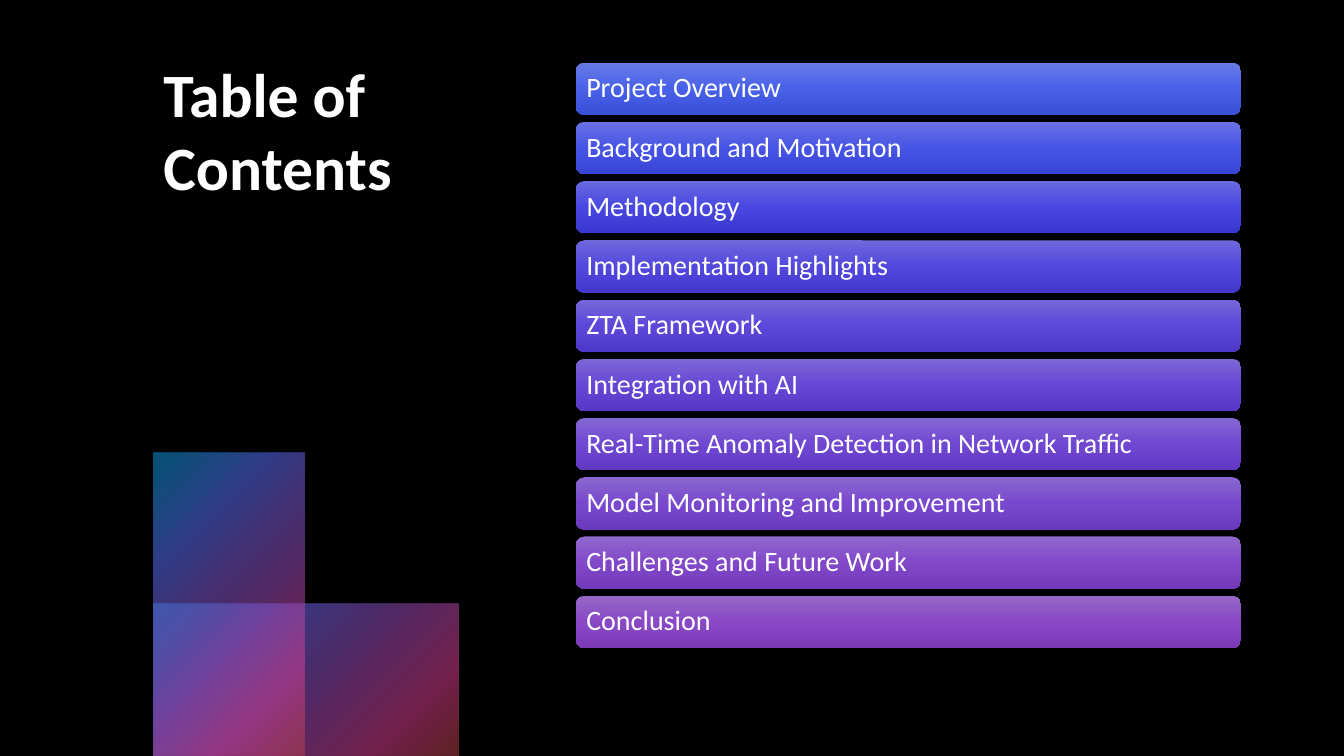
"""Builds a table of contents slide with gradient bars and corner blocks."""
from lxml.etree import SubElement
from pptx import Presentation
from pptx.dml.color import RGBColor
from pptx.enum.shapes import MSO_SHAPE
from pptx.enum.text import MSO_ANCHOR, MSO_AUTO_SIZE, PP_ALIGN
from pptx.oxml.ns import qn
from pptx.util import Inches, Pt

BLOCK_STOPS = [(0, "0BA5E8", 50), (25, "5066E1", 60), (50, "894EC0", 55),
               (81, "E54196", 50), (99, "BE4449", 50)]
BLOCKS = [(1.52, 5.99, 3.03, 1.51), (1.52, 4.49, 1.5, 3.01)]
TOPICS = [
    ("Project Overview", "697AE6", "4961E8", "3850D7"),
    ("Background and Motivation", "6971E3", "4854E5", "3844D4"),
    ("Methodology", "6969E0", "4848E1", "3838D0"),
    ("Implementation Highlights", "6F68DC", "5248DE", "4238CD"),
    ("ZTA Framework", "7668D9", "5D47DA", "4D38C9"),
    ("Integration with AI", "7D68D6", "6747D6", "5738C6"),
    ("Real-Time Anomaly Detection in Network Traffic", "8468D2", "7047D2", "6138C2"),
    ("Model Monitoring and Improvement", "8A68CF", "7948CE", "6A39BE"),
    ("Challenges and Future Work", "9068CB", "8248CA", "7239BA"),
    ("Conclusion", "9668C7", "8948C6", "7A3AB6"),
]
BAR_TOP, LAST_BAR_TOP = 0.62, 5.91
BAR_PITCH = (LAST_BAR_TOP - BAR_TOP) / (len(TOPICS) - 1)


def color(value):
    """Turn a hex string into a colour."""
    return RGBColor.from_string(value)


def apply_format(target, values):
    """Set each attribute named in a dict of format values."""
    for name, value in values.items():
        setattr(target, name, value)


class SlideBuilder:
    """Holds the text style and the current slide."""

    font_name = "Calibri"
    text_color = "FFFFFF"

    def __init__(self, presentation, background):
        """Add a title-only slide with a plain background."""
        self.slide = presentation.slides.add_slide(presentation.slide_layouts[5])
        fill = self.slide.background.fill
        fill.solid()
        fill.fore_color.rgb = color(background)

    def set_text(self, shape, text, size, bold, frame_values, line_spacing):
        """Put one styled paragraph into a shape."""
        frame = shape.text_frame
        frame.text = text
        apply_format(frame, {"word_wrap": True, "auto_size": MSO_AUTO_SIZE.NONE,
                             **frame_values})
        paragraph = frame.paragraphs[0]
        apply_format(paragraph, {"alignment": PP_ALIGN.LEFT, "line_spacing": line_spacing})
        apply_format(paragraph.font, {"name": self.font_name, "size": Pt(size), "bold": bold})
        paragraph.font.color.rgb = color(self.text_color)

    def title(self, text, left, top, width, height):
        """Move and format the title placeholder."""
        title = self.slide.shapes.title
        apply_format(title, {"left": Inches(left), "top": Inches(top),
                             "width": Inches(width), "height": Inches(height)})
        self.set_text(title, text, 44, True, {"vertical_anchor": MSO_ANCHOR.TOP}, 1.0)

    def gradient_shape(self, kind, box, stops, radial=False):
        """Add a borderless shape with a radial or downward gradient."""
        shape = self.slide.shapes.add_shape(kind, *map(Inches, box))
        shape.shadow.inherit = False
        shape.line.fill.background()
        shape.fill.gradient()
        gradient = shape._element.spPr.find(qn("a:gradFill"))
        for child in list(gradient):
            gradient.remove(child)
        stop_list = SubElement(gradient, qn("a:gsLst"))
        for position, value, opacity in stops:
            stop = SubElement(stop_list, qn("a:gs"), pos=str(position * 1000))
            stop_color = SubElement(stop, qn("a:srgbClr"), val=value)
            if opacity < 100:
                SubElement(stop_color, qn("a:alpha"), val=str(opacity * 1000))
        if radial:
            circle = SubElement(gradient, qn("a:path"), path="circle")
            SubElement(circle, qn("a:fillToRect"), r="100000", b="100000")
        else:
            SubElement(gradient, qn("a:lin"), ang="5400000", scaled="0")
        return shape

    def topic_bar(self, text, top, colors):
        """Add one rounded bar with its topic."""
        stops = [(position, value, 100) for position, value in zip((0, 50, 100), colors)]
        bar = self.gradient_shape(MSO_SHAPE.ROUNDED_RECTANGLE, (5.71, top, 6.6, 0.52), stops)
        margins = dict.fromkeys(
            ("margin_left", "margin_top", "margin_right", "margin_bottom"), Inches(0.08))
        self.set_text(bar, text, 20, False,
                      {"vertical_anchor": MSO_ANCHOR.MIDDLE, **margins}, 0.9)


def main():
    """Build and save the slide."""
    presentation = Presentation()
    apply_format(presentation, {"slide_width": Inches(13.33), "slide_height": Inches(7.5)})
    builder = SlideBuilder(presentation, "000000")
    for box in BLOCKS:
        builder.gradient_shape(MSO_SHAPE.RECTANGLE, box, BLOCK_STOPS, radial=True)
    builder.title("Table of Contents", 1.52, 0.5, 3.48, 3.71)
    for index, (text, *colors) in enumerate(TOPICS):
        builder.topic_bar(text, BAR_TOP + index * BAR_PITCH, colors)
    presentation.save("out.pptx")


if __name__ == "__main__":
    main()
